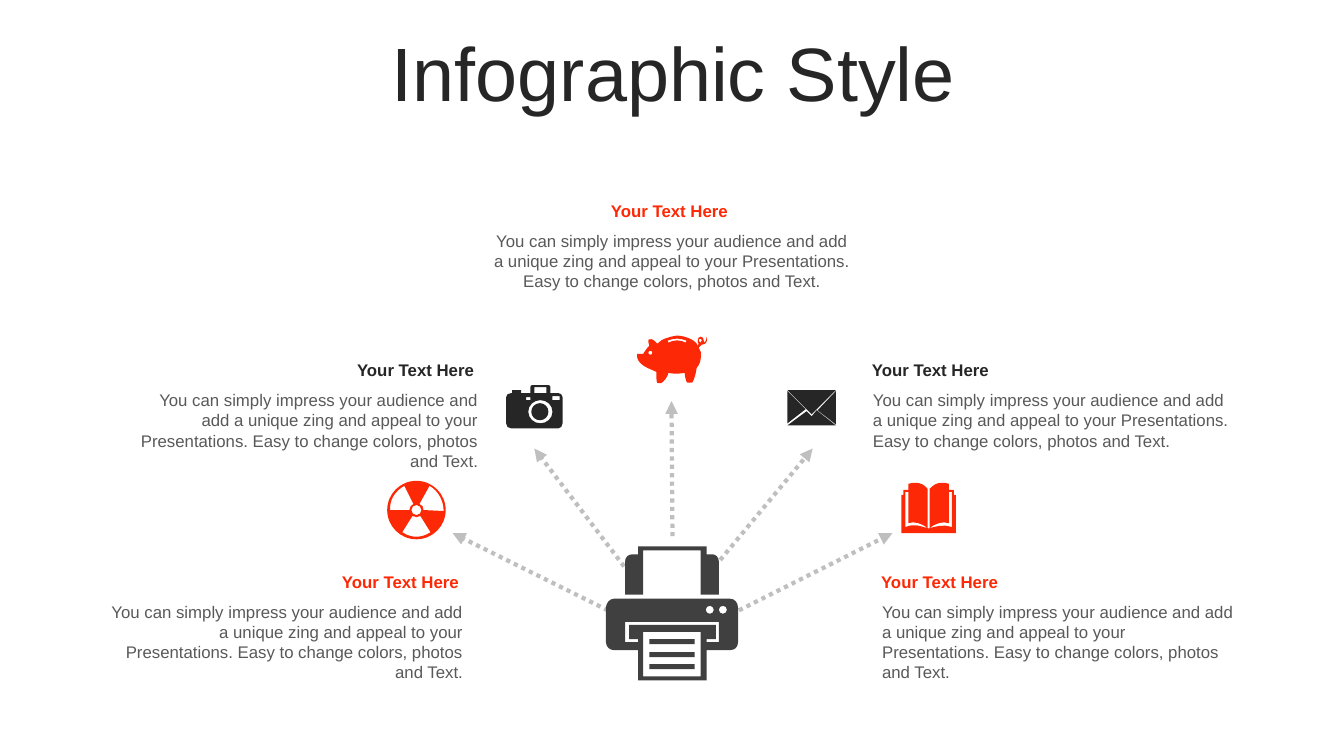
from lxml import etree
from pptx import Presentation
from pptx.dml.color import RGBColor
from pptx.enum.dml import MSO_LINE
from pptx.enum.shapes import MSO_CONNECTOR
from pptx.enum.text import MSO_ANCHOR, MSO_AUTO_SIZE, PP_ALIGN
from pptx.oxml.ns import qn
from pptx.util import Inches, Pt

RED = RGBColor(0xFD, 0x29, 0x06)
BLACK = RGBColor(0x26, 0x26, 0x26)
DARK = RGBColor(0x40, 0x40, 0x40)
GREY = RGBColor(0x59, 0x59, 0x59)
SILVER = RGBColor(0xBF, 0xBF, 0xBF)
LEFT, CENTER, RIGHT = PP_ALIGN.LEFT, PP_ALIGN.CENTER, PP_ALIGN.RIGHT
STRAIGHT, DOTS = MSO_CONNECTOR.STRAIGHT, MSO_LINE.ROUND_DOT
FONT = "Arial"

TITLE = "Infographic Style"
HEADING = "Your Text Here"
BODY = ("You can simply impress your audience and add a unique zing and appeal to your "
        "Presentations. Easy to change colors, photos and Text.")
# left, top, width, alignment, heading colour
NOTES = [
    (0.97, 5.62, 3.72, RIGHT, RED),
    (8.65, 5.62, 3.71, LEFT, RED),
    (4.8, 1.94, 3.73, CENTER, RED),
    (8.56, 3.52, 3.77, LEFT, BLACK),
    (1.16, 3.52, 3.68, RIGHT, BLACK),
]
ARROWS = [
    (6.18, 6.13, 4.49, 5.29),
    (7.18, 6.13, 8.85, 5.29),
    (6.19, 5.62, 5.3, 4.45),
    (6.67, 5.32, 6.66, 3.98),
    (7.09, 5.62, 8.06, 4.45),
]


def block(left, top, right, bottom):
    return [(left, top), (right, top), (right, bottom), (left, bottom)]


def oval(left, top, right, bottom):
    x, y = (left + right) / 2, (top + bottom) / 2
    dx, dy = 0.2761 * (right - left), 0.2761 * (bottom - top)
    return [(x, top), (x + dx, top, right, y - dy, right, y),
            (right, y + dy, x + dx, bottom, x, bottom),
            (x - dx, bottom, left, y + dy, left, y), (left, y - dy, x - dx, top, x, top)]


# Each icon is a list of outlines, and an inner outline cuts a hole.
# In an outline a pair is a corner and six numbers are a cubic curve.
PRINTER = [
    *[block(6.44, top, 6.89, top + 0.05) for top in (6.59, 6.47, 6.34)],
    block(6.38, 6.27, 6.95, 6.71),
    [(6.2, 6.17), (6.2, 6.37), (6.33, 6.37), (6.33, 6.34), (6.24, 6.34), (6.24, 6.2),
     (7.1, 6.2), (7.1, 6.34), (7.01, 6.34), (7.01, 6.37), (7.13, 6.37), (7.13, 6.17)],
    *[oval(left, 6.01, left + 0.08, 6.09) for left in (7.13, 7.0)],
    [(6.09, 5.94), (7.24, 5.94), (7.29, 5.94, 7.32, 5.98, 7.32, 6.03), (7.32, 6.37),
     (7.32, 6.42, 7.29, 6.45, 7.24, 6.45), (7.01, 6.45), (7.01, 6.75), (6.33, 6.75),
     (6.33, 6.45), (6.09, 6.45), (6.05, 6.45, 6.01, 6.42, 6.01, 6.37), (6.01, 6.03),
     (6.01, 5.98, 6.05, 5.94, 6.09, 5.94)],
    [(6.33, 5.42), (7.01, 5.42), (7.01, 5.5), (7.07, 5.5), (7.1, 5.5, 7.13, 5.53, 7.13, 5.57),
     (7.13, 5.9), (6.95, 5.9), (6.95, 5.46), (6.38, 5.46), (6.38, 5.9), (6.2, 5.9),
     (6.2, 5.57), (6.2, 5.53, 6.23, 5.5, 6.27, 5.5), (6.33, 5.5)],
]
BOOK = [[
    (9.2, 5.24), (9.2, 5.24, 9.22, 5.25, 9.22, 5.24), (9.3, 5.22, 9.35, 5.2, 9.44, 5.23),
    (9.44, 4.88), (9.41, 4.88), (9.41, 5.19), (9.35, 5.17, 9.28, 5.19, 9.22, 5.24),
    (9.22, 4.85), (9.26, 4.81, 9.29, 4.79, 9.34, 4.79), (9.36, 4.79, 9.39, 4.79, 9.41, 4.8),
    (9.41, 4.86), (9.46, 4.86), (9.46, 4.91), (9.48, 4.91), (9.48, 5.29), (8.94, 5.29),
    (8.94, 4.91), (8.96, 4.91), (8.96, 4.86), (9.01, 4.86), (9.01, 4.8),
    (9.04, 4.79, 9.06, 4.79, 9.08, 4.79), (9.13, 4.79, 9.17, 4.81, 9.2, 4.85), (9.2, 5.24),
    (9.14, 5.19, 9.07, 5.17, 9.01, 5.19), (9.01, 4.88), (8.98, 4.88), (8.98, 5.23),
    (9.07, 5.19, 9.12, 5.22, 9.2, 5.24),
]]
RADIATION = [
    [(4.09, 5.12), (3.99, 5.28), (4.08, 5.34, 4.18, 5.34, 4.27, 5.28), (4.17, 5.12),
     (4.16, 5.12, 4.14, 5.13, 4.13, 5.13), (4.12, 5.13, 4.11, 5.12, 4.09, 5.12)],
    oval(4.08, 5.01, 4.18, 5.11),
    [(4.26, 4.82), (4.16, 5), (4.19, 5.01, 4.2, 5.03, 4.2, 5.06), (4.4, 5.07),
     (4.4, 4.97, 4.35, 4.87, 4.26, 4.82)],
    [(4.01, 4.82), (3.92, 4.87, 3.86, 4.96, 3.87, 5.06), (4.06, 5.06),
     (4.06, 5.03, 4.08, 5.01, 4.1, 5)],
    oval(3.84, 4.77, 4.42, 5.35),
]
CAMERA = [
    oval(5.27, 4, 5.44, 4.17), oval(5.24, 3.97, 5.48, 4.2),
    block(5.22, 3.94, 5.26, 3.97), block(5.48, 3.93, 5.55, 3.97), block(5.3, 3.84, 5.42, 3.9),
    [(5.28, 3.82), (5.44, 3.82), (5.45, 3.82, 5.46, 3.83, 5.46, 3.84), (5.46, 3.9), (5.54, 3.9),
     (5.56, 3.9, 5.58, 3.92, 5.58, 3.94), (5.58, 4.2), (5.58, 4.23, 5.56, 4.25, 5.54, 4.25),
     (5.07, 4.25), (5.04, 4.25, 5.02, 4.23, 5.02, 4.2), (5.02, 3.94),
     (5.02, 3.92, 5.04, 3.9, 5.07, 3.9), (5.08, 3.9), (5.08, 3.87), (5.17, 3.87), (5.17, 3.9),
     (5.26, 3.9), (5.26, 3.84), (5.26, 3.83, 5.27, 3.82, 5.28, 3.82)],
]
PIG = [
    oval(6.43, 3.48, 6.47, 3.52), oval(6.93, 3.36, 6.96, 3.4),
    [(6.72, 3.36), (6.68, 3.36, 6.65, 3.37, 6.62, 3.38), (6.63, 3.4),
     (6.68, 3.37, 6.75, 3.37, 6.8, 3.4), (6.81, 3.38), (6.78, 3.37, 6.75, 3.36, 6.72, 3.36)],
    [(6.71, 3.33), (6.78, 3.33, 6.87, 3.36, 6.91, 3.41), (6.92, 3.43),
     (6.93, 3.42, 6.93, 3.42, 6.93, 3.41), (6.92, 3.41, 6.92, 3.4, 6.92, 3.38),
     (6.92, 3.36, 6.93, 3.34, 6.95, 3.34), (6.97, 3.34, 6.98, 3.36, 6.98, 3.38),
     (6.98, 3.39, 6.98, 3.39, 6.98, 3.4), (6.99, 3.39, 7, 3.4, 7.01, 3.34),
     (7.02, 3.39, 7, 3.42, 6.96, 3.42), (6.95, 3.43, 6.95, 3.44, 6.93, 3.45), (6.95, 3.49),
     (6.96, 3.56, 6.94, 3.62, 6.91, 3.65), (6.9, 3.71, 6.89, 3.75, 6.87, 3.79),
     (6.87, 3.8, 6.81, 3.8, 6.81, 3.79), (6.8, 3.76, 6.79, 3.73, 6.79, 3.7),
     (6.74, 3.71, 6.67, 3.71, 6.63, 3.7), (6.62, 3.74, 6.59, 3.78, 6.56, 3.8), (6.52, 3.8),
     (6.51, 3.8, 6.51, 3.73, 6.51, 3.69), (6.45, 3.66, 6.3, 3.62, 6.32, 3.51),
     (6.32, 3.51, 6.36, 3.51, 6.38, 3.51), (6.4, 3.48, 6.41, 3.46, 6.44, 3.43),
     (6.44, 3.41, 6.42, 3.38, 6.43, 3.37), (6.48, 3.35, 6.49, 3.39, 6.52, 3.41),
     (6.56, 3.36, 6.65, 3.34, 6.71, 3.33)],
]
ENVELOPE = [
    [(8.1, 4.07), (8.29, 4.22), (7.81, 4.22), (8, 4.08), (8.05, 4.13)],
    [(8.29, 3.88), (8.29, 4.21), (8.11, 4.07)],
    [(7.81, 3.88), (7.99, 4.06), (7.81, 4.2)],
    [(7.81, 3.87), (8.29, 3.87), (8.05, 4.11)],
]
ICONS = [(PRINTER, DARK), (BOOK, RED), (RADIATION, RED), (CAMERA, BLACK), (PIG, RED),
         (ENVELOPE, BLACK)]


def add_icon(slide, outlines, colour):
    """Draw the outlines through their corners, then bend the curved segments."""
    builder = None
    for outline in outlines:
        corners = [tuple(map(Inches, step[-2:])) for step in outline]
        if builder is None:
            builder = slide.shapes.build_freeform(*corners[0])
        else:
            builder.move_to(*corners[0])
        builder.add_line_segments(corners[1:], close=True)
    icon = builder.convert_to_shape()
    icon.shadow.inherit = False
    icon.fill.solid()
    icon.fill.fore_color.rgb = colour
    icon.line.fill.background()

    steps = [step for outline in outlines for step in outline]
    segments = [node for node in icon._element.iter(qn("a:moveTo"), qn("a:lnTo"))]
    for step, segment in zip(steps, segments):
        if len(step) == 6:
            segment.tag = qn("a:cubicBezTo")
            for child in list(segment):
                segment.remove(child)
            for x, y in zip(step[::2], step[1::2]):
                etree.SubElement(segment, qn("a:pt"), x=str(Inches(x) - icon.left),
                                 y=str(Inches(y) - icon.top))


def add_arrow(slide, *ends):
    arrow = slide.shapes.add_connector(STRAIGHT, *map(Inches, ends))
    arrow.line.color.rgb = SILVER
    arrow.line.width = Pt(3)
    arrow.line.dash_style = DOTS
    etree.SubElement(arrow.line._get_or_add_ln(), qn("a:tailEnd"), type="triangle")
    etree.SubElement(arrow._element.spPr, qn("a:effectLst"))


def write(frame, text, size, colour, align, bold=False):
    frame.word_wrap = True
    para = frame.paragraphs[0]
    para.alignment = align
    span = para.add_run()
    span.text = text
    span.font.name, span.font.size, span.font.bold = FONT, Pt(size), bold
    span.font.color.rgb = colour
    return para


def add_text(slide, left, top, width, height, text, colour, align, bold=False):
    box = slide.shapes.add_textbox(*map(Inches, (left, top, width, height)))
    box.text_frame.auto_size = MSO_AUTO_SIZE.SHAPE_TO_FIT_TEXT
    write(box.text_frame, text, 12, colour, align, bold)


def main():
    deck = Presentation()
    deck.slide_width, deck.slide_height = Inches(13.33), Inches(7.5)
    slide = deck.slides.add_slide(deck.slide_layouts[5])
    title = slide.shapes.title
    title.left, title.top, title.width, title.height = map(Inches, (0.35, 0.37, 12.66, 0.79))
    title.text_frame.vertical_anchor = MSO_ANCHOR.MIDDLE
    title.text_frame.auto_size = MSO_AUTO_SIZE.NONE
    write(title.text_frame, TITLE, 54, BLACK, CENTER).line_spacing = 0.9

    for left, top, width, align, colour in NOTES:
        add_text(slide, left, top + 0.3, width, 0.71, BODY, GREY, align)
        add_text(slide, left - 0.01, top, width - 0.03, 0.3, HEADING, colour, align, True)
    for ends in ARROWS:
        add_arrow(slide, *ends)
    for outlines, colour in ICONS:
        add_icon(slide, outlines, colour)
    deck.save("out.pptx")


if __name__ == "__main__":
    main()
